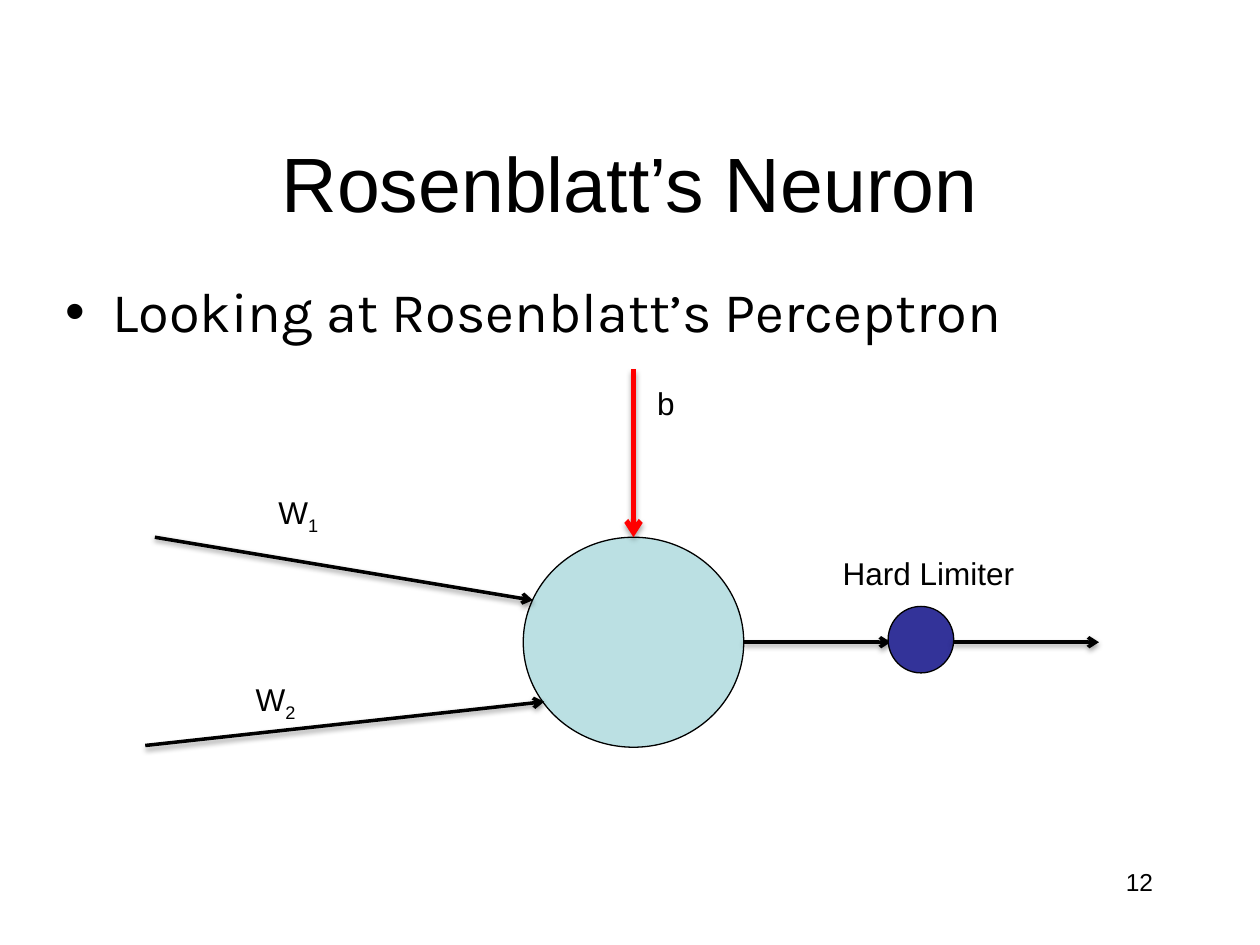
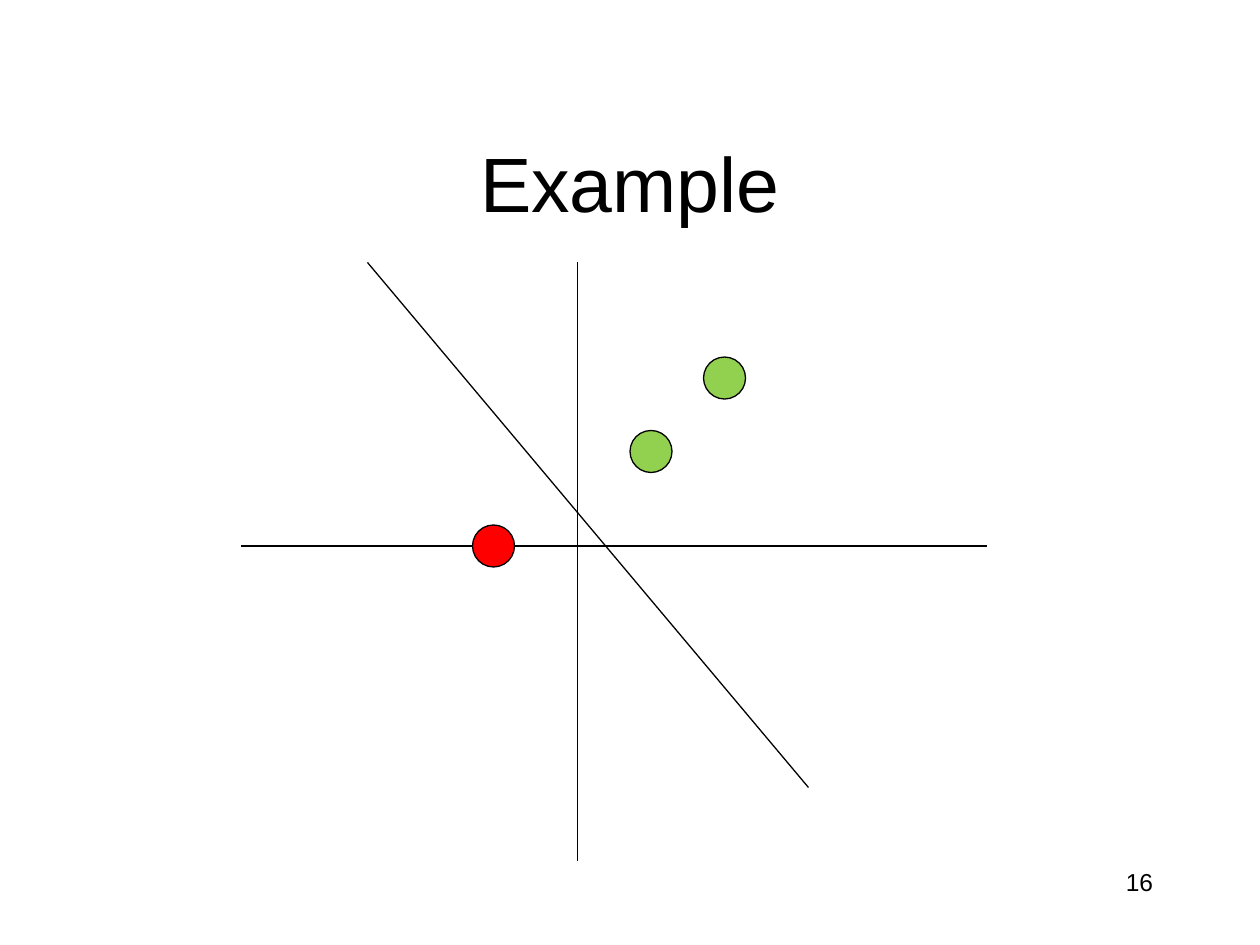
from dataclasses import dataclass

from lxml.etree import SubElement
from pptx import Presentation
from pptx.dml.color import RGBColor
from pptx.enum.shapes import MSO_CONNECTOR, MSO_SHAPE
from pptx.enum.text import MSO_ANCHOR, MSO_AUTO_SIZE, PP_ALIGN
from pptx.oxml.ns import qn
from pptx.util import Pt


@dataclass(frozen=True)
class Theme:
    ink: str = "000000"
    cell: str = "BBE0E3"
    gate: str = "333399"
    red: str = "FF0000"
    green: str = "92D050"
    font: str = "Arial"
    prose: str = "Karla"
    title: int = 44
    body: int = 32
    label: int = 18
    page: int = 14
    thin: float = 0.75
    arrow: float = 2
    bold: float = 3


THEME = Theme()
TITLE = (36, 66, 648, 76)
BODY = (30, 159, 660, 345)
PAGE = (516, 492, 150, 36)
NET = (80, 210, 548, 217)
PLOT = (138, 150, 426, 342)


def color(code):
    return RGBColor.from_string(code)


def style(part, size, font=THEME.font):
    for run in part.runs:
        run.font.name = font
        run.font.size = Pt(size)
        run.font.color.rgb = color(THEME.ink)


def place(holder, box, text, size, font=THEME.font):
    holder.left, holder.top, holder.width, holder.height = map(Pt, box)
    frame = holder.text_frame
    frame.text = text
    frame.auto_size = MSO_AUTO_SIZE.NONE
    style(frame.paragraphs[0], size, font)
    return frame


def label(slide, box, text, sub="", size=THEME.label, wrap=False):
    frame = slide.shapes.add_textbox(*map(Pt, box)).text_frame
    frame.word_wrap = wrap
    part = frame.paragraphs[0]
    part.text = text
    if sub:
        run = part.add_run()
        run.text = sub
        run._r.get_or_add_rPr().set("baseline", "-25000")
    style(part, size)
    return part


def disc(slide, box, fill):
    shape = slide.shapes.add_shape(MSO_SHAPE.OVAL, *map(Pt, box))
    shape.shadow.inherit = False
    shape.fill.solid()
    shape.fill.fore_color.rgb = color(fill)
    shape.line.color.rgb = color(THEME.ink)
    shape.line.width = Pt(THEME.thin)
    return shape


def stroke(slide, start, end, width=THEME.thin, ink=THEME.ink):
    line = slide.shapes.add_connector(
        MSO_CONNECTOR.STRAIGHT, *map(Pt, (*start, *end)))
    line.line.color.rgb = color(ink)
    line.line.width = Pt(width)
    SubElement(line._element.spPr, qn("a:effectLst"))
    return line


def arrow(slide, start, end, width=THEME.arrow, ink=THEME.ink, alpha=38, gap=1.6):
    line = stroke(slide, start, end, width, ink)
    props = line._element.spPr
    SubElement(props.find(qn("a:ln")), qn("a:tailEnd"), type="arrow")
    shade = SubElement(props.find(qn("a:effectLst")), qn("a:outerShdw"),
                       blurRad=str(Pt(3.1)), dist=str(Pt(gap)),
                       dir="5400000", rotWithShape="0")
    tint = SubElement(shade, qn("a:srgbClr"), val=THEME.ink)
    SubElement(tint, qn("a:alpha"), val=str(alpha * 1000))
    return line


def begin(deck, layout, title, page):
    slide = deck.slides.add_slide(deck.slide_layouts[layout])
    frame = place(slide.shapes.title, TITLE, title, THEME.title)
    frame.vertical_anchor = MSO_ANCHOR.MIDDLE
    frame.paragraphs[0].alignment = PP_ALIGN.CENTER
    part = label(slide, PAGE, page, size=THEME.page, wrap=True)
    part.alignment = PP_ALIGN.RIGHT
    return slide


def network(slide, box):
    left, top, wide, high = box

    def at(x, y, *size):
        return (left + x, top + y, *size)

    cell = disc(slide, at(219, 97, 126, 120), THEME.cell)
    axis = 157
    for start, end in (
        ((8.5, 97), (224.5, 133)),
        ((3, 216), (231, 191)),
        ((345, axis), (429, axis)),
    ):
        arrow(slide, at(*start), at(*end))
    bias = arrow(slide, at(282, 1), at(282, 97), THEME.bold, THEME.red, 35, 1.8)
    bias.end_connect(cell, 0)
    disc(slide, at(427.5, 136.5, 37.5, 38), THEME.gate)
    arrow(slide, at(464.5, axis), at(wide, axis))
    for x, y, width, text, sub in (
        (72, 68, 38, "W", "1"),
        (59, 175, 38, "W", "2"),
        (288.5, 6, 24.5, "b", ""),
        (394.5, 103, 114, "Hard Limiter", ""),
    ):
        label(slide, at(x, y, width, 29), text, sub)


def plot(slide, box):
    left, top, wide, high = box

    def at(x, y, *size):
        return (left + x, top + y, *size)

    stroke(slide, at(192, 0), at(192, high))
    stroke(slide, at(0, 162), at(wide, 162))
    size = 24
    for x, y, fill in (
        (264, 54, THEME.green),
        (222, 96, THEME.green),
        (132, 150, THEME.red),
    ):
        disc(slide, at(x, y, size, size), fill)
    stroke(slide, at(72, 0), at(324, 300))


def neuron(deck):
    slide = begin(deck, 1, "Rosenblatt’s Neuron", "12")
    frame = place(slide.placeholders[1], BODY, "Looking at Rosenblatt’s Perceptron",
                  THEME.body, THEME.prose)
    frame.paragraphs[0].line_spacing = 0.9
    network(slide, NET)


def example(deck):
    slide = begin(deck, 5, "Example", "16")
    plot(slide, PLOT)


def main():
    deck = Presentation()
    deck.slide_width, deck.slide_height = Pt(720), Pt(540)
    neuron(deck)
    example(deck)
    deck.save("out.pptx")


if __name__ == "__main__":
    main()
